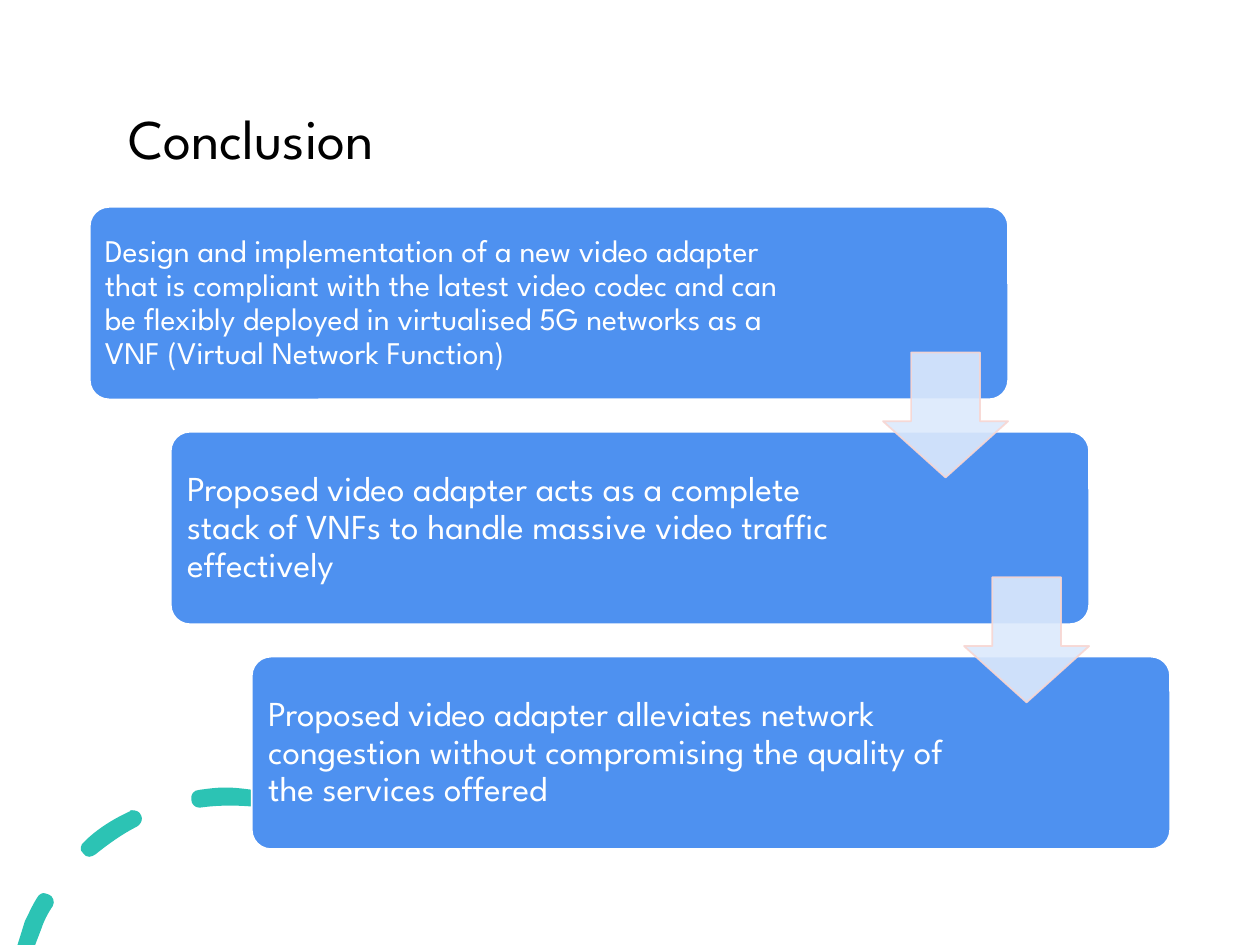
from dataclasses import dataclass

from lxml import etree
from pptx import Presentation
from pptx.dml.color import RGBColor
from pptx.enum.shapes import MSO_SHAPE
from pptx.enum.text import MSO_ANCHOR, MSO_AUTO_SIZE, PP_ALIGN
from pptx.oxml.ns import qn
from pptx.util import Pt

ROUNDED = MSO_SHAPE.ROUNDED_RECTANGLE
DOWN_ARROW = MSO_SHAPE.DOWN_ARROW
MIDDLE = MSO_ANCHOR.MIDDLE
NO_AUTOFIT = MSO_AUTO_SIZE.NONE
LEFT = PP_ALIGN.LEFT
TITLE_ONLY = 5


@dataclass(frozen=True)
class Theme:
    font: str = "League Spartan"
    title_size: float = 32
    title_color: str = "000000"
    card_fill: str = "4E91F0"
    card_line: str = "FFFFFF"
    card_text: str = "FFFFFF"
    arrow_fill: str = "DCE9FC"
    arrow_line: str = "F8D6D2"
    dash_fill: str = "2CC3B4"


THEME = Theme()

# Conclusions: text, type size, text box width, text box inset
STEPS = [
    ("Design and implementation of a new video adapter that is compliant with the "
     "latest video codec and can be flexibly deployed in virtualised 5G networks "
     "as a VNF (Virtual Network Function)", 18, 406, 5.3),
    ("Proposed video adapter acts as a complete stack of VNFs to handle massive "
     "video traffic effectively", 20, 400.3, 6),
    ("Proposed video adapter alleviates network congestion without compromising "
     "the quality of the services offered", 20, 400.3, 6),
]

# Dash outlines in points: a start, then line ends (2 values) or curves (6 values)
DASHES = [
    [(15.8, 60.5), (14.4, 59.8, 12.2, 61.2, 11.5, 62.6), (8.6, 67, 6.5, 72, 4.3, 76.3),
     (0, 90), (10.1, 90), (13.7, 80.6), (15.1, 76.3, 17.3, 72, 20.2, 67.7),
     (21.6, 65.5, 20.2, 61.9, 18, 61.2), (17.3, 60.5, 16.6, 60.5, 15.8, 60.5)],
    [(65.5, 13), (64.8, 13, 64.1, 13, 64.1, 13.7), (54.7, 18, 45.4, 23.8, 38.2, 31),
     (36, 32.4, 35.3, 36, 37.4, 37.4), (38.2, 38.9, 39.6, 39.6, 41, 39.6),
     (42.5, 39.6, 43.2, 38.9, 44.6, 38.2), (51.8, 32.4, 59.8, 26.6, 68.4, 22.3),
     (70.6, 20.9, 72, 18, 70.6, 15.8), (69.8, 13.7, 67.7, 13, 65.5, 13)],
    [(118.8, 0), (113.8, 0, 108.7, 0.7, 103.7, 1.4), (100.8, 1.4, 98.6, 4.3, 99.4, 7.2),
     (99.4, 9.4, 101.5, 11.5, 103.7, 11.5), (104.4, 11.5),
     (114.5, 10.1, 123.8, 10.1, 133.2, 10.8), (136.1, 11.5, 139, 9.4, 139, 7.2),
     (139.7, 4.3, 137.5, 1.4, 134.6, 1.4), (129.6, 0.7, 123.8, 0, 118.8, 0)],
]


def write_text(shape, text, *, size, color, inset=None):
    frame = shape.text_frame
    frame.word_wrap = True
    frame.auto_size = NO_AUTOFIT
    frame.vertical_anchor = MIDDLE
    if inset is not None:
        frame.margin_left = frame.margin_right = Pt(inset)
        frame.margin_top = frame.margin_bottom = Pt(inset)
    paragraph = frame.paragraphs[0]
    paragraph.alignment = LEFT
    paragraph.line_spacing = 0.9
    run = paragraph.add_run()
    run.text = text
    run.font.name = THEME.font
    run.font.size = Pt(size)
    run.font.color.rgb = RGBColor.from_string(color)


def paint(shape, fill, line=None, opacity=100):
    shape.shadow.inherit = False
    shape.fill.solid()
    shape.fill.fore_color.rgb = RGBColor.from_string(fill)
    if line:
        shape.line.width = Pt(1)
        shape.line.color.rgb = RGBColor.from_string(line)
    else:
        shape.line.fill.background()
    if opacity < 100:
        for color in shape.element.spPr.iter(qn("a:srgbClr")):
            etree.SubElement(color, qn("a:alpha")).set("val", str(opacity * 1000))


def bend_lines(shape, segments):
    """Give each line of a freeform the two control points of its curve, if any."""
    lines = list(shape.element.spPr.iter(qn("a:lnTo")))
    for line, segment in zip(lines, segments):
        if len(segment) == 2:
            continue
        line.tag = qn("a:cubicBezTo")
        for index in (0, 1):
            x, y = segment[2 * index:2 * index + 2]
            control = etree.Element(qn("a:pt"), x=str(Pt(x)), y=str(Pt(y)))
            line.insert(index, control)


def add_dashed_ring(slide, left, top):
    builder = slide.shapes.build_freeform(Pt(DASHES[0][0][0]), Pt(DASHES[0][0][1]))
    for index, (start, *segments) in enumerate(DASHES):
        if index:
            builder.move_to(Pt(start[0]), Pt(start[1]))
        ends = [(Pt(segment[-2]), Pt(segment[-1])) for segment in segments]
        builder.add_line_segments(ends, close=False)
    ring = builder.convert_to_shape(Pt(left), Pt(top))
    bend_lines(ring, [segment for dash in DASHES for segment in dash[1:]])
    paint(ring, THEME.dash_fill)


def add_title(slide, left, top, width, height):
    title = slide.shapes.title
    title.left, title.top = Pt(left), Pt(top)
    title.width, title.height = Pt(width), Pt(height)
    write_text(title, "Conclusion", size=THEME.title_size, color=THEME.title_color)
    # Bring the title in front of the ring
    title.element.getparent().append(title.element)


def add_card(slide, left, top, width, height, step):
    text, size, text_width, inset = step
    card = slide.shapes.add_shape(ROUNDED, Pt(left), Pt(top), Pt(width), Pt(height))
    card.adjustments[0] = 0.1
    paint(card, THEME.card_fill, THEME.card_line)
    gap = 3.3
    box = slide.shapes.add_textbox(Pt(left + gap), Pt(top + gap),
                                   Pt(text_width), Pt(height - 2 * gap))
    write_text(box, text, size=size, color=THEME.card_text, inset=inset)


def add_arrow(slide, left, top, size):
    arrow = slide.shapes.add_shape(DOWN_ARROW, Pt(left), Pt(top), Pt(size), Pt(size))
    arrow.adjustments[0] = 0.55
    arrow.adjustments[1] = 0.45
    paint(arrow, THEME.arrow_fill, THEME.arrow_line, opacity=90)


def add_staircase(slide, left, top, width, height):
    card_width, card_height, arrow_size = 524.8, 110, 71.5
    gaps = len(STEPS) - 1
    step_x = (width - card_width) / gaps
    step_y = (height - card_height) / gaps
    corners = [(left + index * step_x, top + index * step_y)
               for index in range(len(STEPS))]
    for (x, y), step in zip(corners, STEPS):
        add_card(slide, x, y, card_width, card_height, step)
    # Arrows lie over the cards and lead to the next one
    for x, y in corners[:-1]:
        add_arrow(slide, x + card_width - arrow_size, y + 83.2, arrow_size)


def main():
    presentation = Presentation()
    presentation.slide_width, presentation.slide_height = Pt(720), Pt(540)
    slide = presentation.slides.add_slide(presentation.slide_layouts[TITLE_ONLY])
    add_dashed_ring(slide, 10, 450)
    add_title(slide, 66, 29, 583, 104)
    add_staircase(slide, 51.3, 118.2, 617.4, 367)
    presentation.save("out.pptx")


if __name__ == "__main__":
    main()
